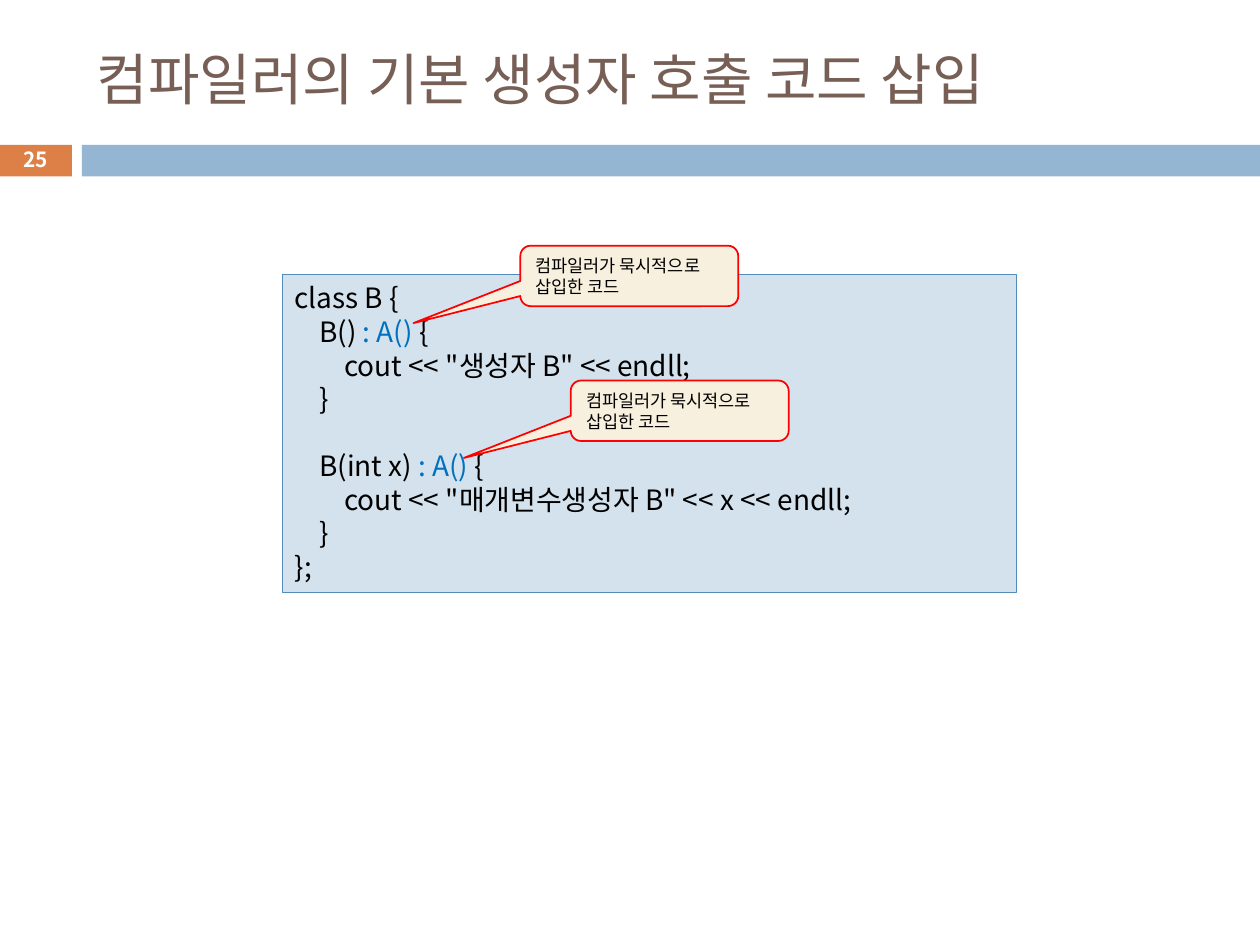
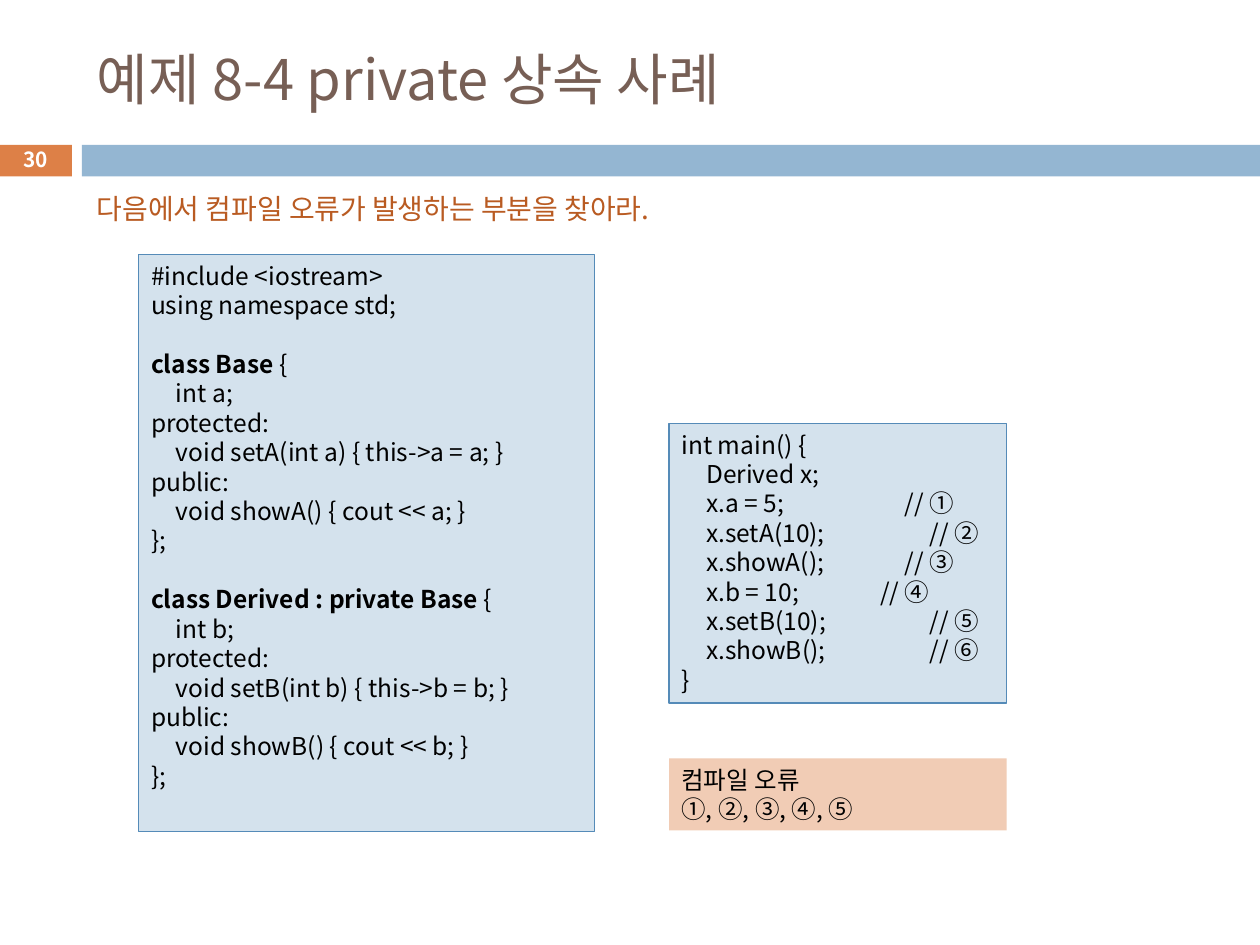
from lxml import etree
from pptx import Presentation
from pptx.dml.color import RGBColor
from pptx.enum.shapes import MSO_SHAPE as Preset
from pptx.enum.text import MSO_ANCHOR as Anchor, PP_ALIGN as Align
from pptx.oxml.ns import qn
from pptx.util import Inches, Pt

FONT = "Noto Sans CJK KR"
COLORS = {
    "title": "775F55", "number_band": "DD8047", "band": "94B6D2",
    "white": "FFFFFF", "black": "000000", "inserted": "0070C0",
    "code_fill": "D4E2ED", "code_line": "558BB8",
    "note_fill": "F7F0DE", "note_line": "FF0000",
    "question": "B95B22", "answer_fill": "F1CCB5",
}
TEN_TABS = 1.97  # width of ten code indents


def add_box(slide, place, preset=Preset.RECTANGLE, fill=None, line=None, width=0.75):
    """Add a shape with left-aligned, wrapped text; without fill or line it is bare."""
    shape = slide.shapes.add_shape(preset, *map(Inches, place))
    shape.shadow.inherit = False
    if fill:
        shape.fill.solid()
        shape.fill.fore_color.rgb = RGBColor.from_string(COLORS[fill])
    else:
        shape.fill.background()
    if line:
        shape.line.color.rgb = RGBColor.from_string(COLORS[line])
        shape.line.width = Pt(width)
    else:
        shape.line.fill.background()
    shape.text_frame.word_wrap = True
    return shape


def write(shape, text, size, color="black", bold=False, align=Align.LEFT, anchor=Anchor.MIDDLE):
    """Write lines of text; *...* marks bold runs and ~...~ inserted code."""
    frame = shape.text_frame
    frame.vertical_anchor = anchor
    gap = 0
    paragraph = None
    for line in text.split("\n"):
        if not line:
            gap = size * 1.2
            continue
        paragraph = frame.add_paragraph() if paragraph else frame.paragraphs[0]
        paragraph.alignment = align
        if "\t" in line:
            tabs = etree.SubElement(paragraph._p.get_or_add_pPr(), qn("a:tabLst"))
            for stop in range(1, 13):
                position = Inches(TEN_TABS * stop / 10)
                etree.SubElement(tabs, qn("a:tab"), pos=str(position), algn="l")
        if gap:
            paragraph.space_before = Pt(gap)
            gap = 0
        mark = "*" if "*" in line else "~"
        for index, part in enumerate(line.split(mark)):
            if not part:
                continue
            marked = index % 2 == 1
            run = paragraph.add_run()
            run.text = part
            run.font.name = FONT
            run.font.size = Pt(size)
            run.font.bold = bold or (marked and mark == "*")
            run_color = "inserted" if marked and mark == "~" else color
            run.font.color.rgb = RGBColor.from_string(COLORS[run_color])
            etree.SubElement(run.font._element, qn("a:ea"), typeface=FONT)


CONSTRUCTORS = """class B {
\tB() ~: A() ~{
\t\tcout << "생성자 B" << endll;
\t}

\tB(int x) ~: A() ~{
\t\tcout << "매개변수생성자 B" << x << endll;
\t}
};"""

CLASSES = """#include <iostream>
using namespace std;

*class Base *{
\tint a;
protected:
\tvoid setA(int a) { this->a = a; }
public:
\tvoid showA() { cout << a; }
};

*class Derived : private Base *{
\tint b;
protected:
\tvoid setB(int b) { this->b = b; }
public:
\tvoid showB() { cout << b; }
};"""

MAIN = """int main() {
\tDerived x;
\tx.a = 5; \t\t\t\t\t// ①
\tx.setA(10); \t\t\t\t// ②
\tx.showA(); \t\t\t\t// ③
\tx.b = 10; \t\t\t\t// ④
\tx.setB(10); \t\t\t\t// ⑤
\tx.showB(); \t\t\t\t// ⑥
}"""

presentation = Presentation()
presentation.slide_width = Inches(10)
presentation.slide_height = Inches(7.5)

# Title, bands and page number of every slide
slides = []
for number, title in [
    ("25", "컴파일러의 기본 생성자 호출 코드 삽입"),
    ("30", "예제 8-4 private 상속 사례"),
]:
    slide = presentation.slides.add_slide(presentation.slide_layouts[6])
    add_box(slide, (-0.01, 1.15, 0.58, 0.25), fill="number_band")
    add_box(slide, (0.65, 1.15, 9.35, 0.25), fill="band")
    write(add_box(slide, (0.67, 0.25, 8.92, 0.74)), title, 32, "title")
    number_box = add_box(slide, (-0.01, 1.13, 0.58, 0.27))
    write(number_box, number, 11.9, "white", bold=True, align=Align.CENTER)
    slides.append(slide)
constructor_slide, private_slide = slides

# Code boxes
for slide, place, code, size in [
    (constructor_slide, (2.24, 2.18, 5.83, 2.52), CONSTRUCTORS, 16),
    (private_slide, (1.1, 2.02, 3.62, 4.58), CLASSES, 14),
    (private_slide, (5.31, 3.36, 2.68, 2.22), MAIN, 14),
]:
    code_box = add_box(slide, place, fill="code_fill", line="code_line")
    write(code_box, code, size, anchor=Anchor.TOP)

# Callouts pointing at the inserted constructor calls
for left, top in [(4.13, 1.95), (4.53, 3.02)]:
    callout = add_box(constructor_slide, (left, top, 1.73, 0.48),
                      Preset.ROUNDED_RECTANGULAR_CALLOUT, "note_fill", "note_line", 1)
    for index, value in enumerate((-0.99, 0.78, 0.17)):
        callout.adjustments[index] = value
    write(callout, "컴파일러가 묵시적으로 삽입한 코드", 10)

# Question and answer
question = add_box(private_slide, (0.67, 1.47, 5.13, 0.37))
question.text_frame.word_wrap = False
write(question, "다음에서 컴파일 오류가 발생하는 부분을 찾아라.", 16, "question", anchor=Anchor.TOP)
answer = add_box(private_slide, (5.31, 6.02, 2.68, 0.57), fill="answer_fill")
write(answer, "컴파일 오류\n①, ②, ③, ④, ⑤", 14, anchor=Anchor.TOP)

presentation.save("out.pptx")
